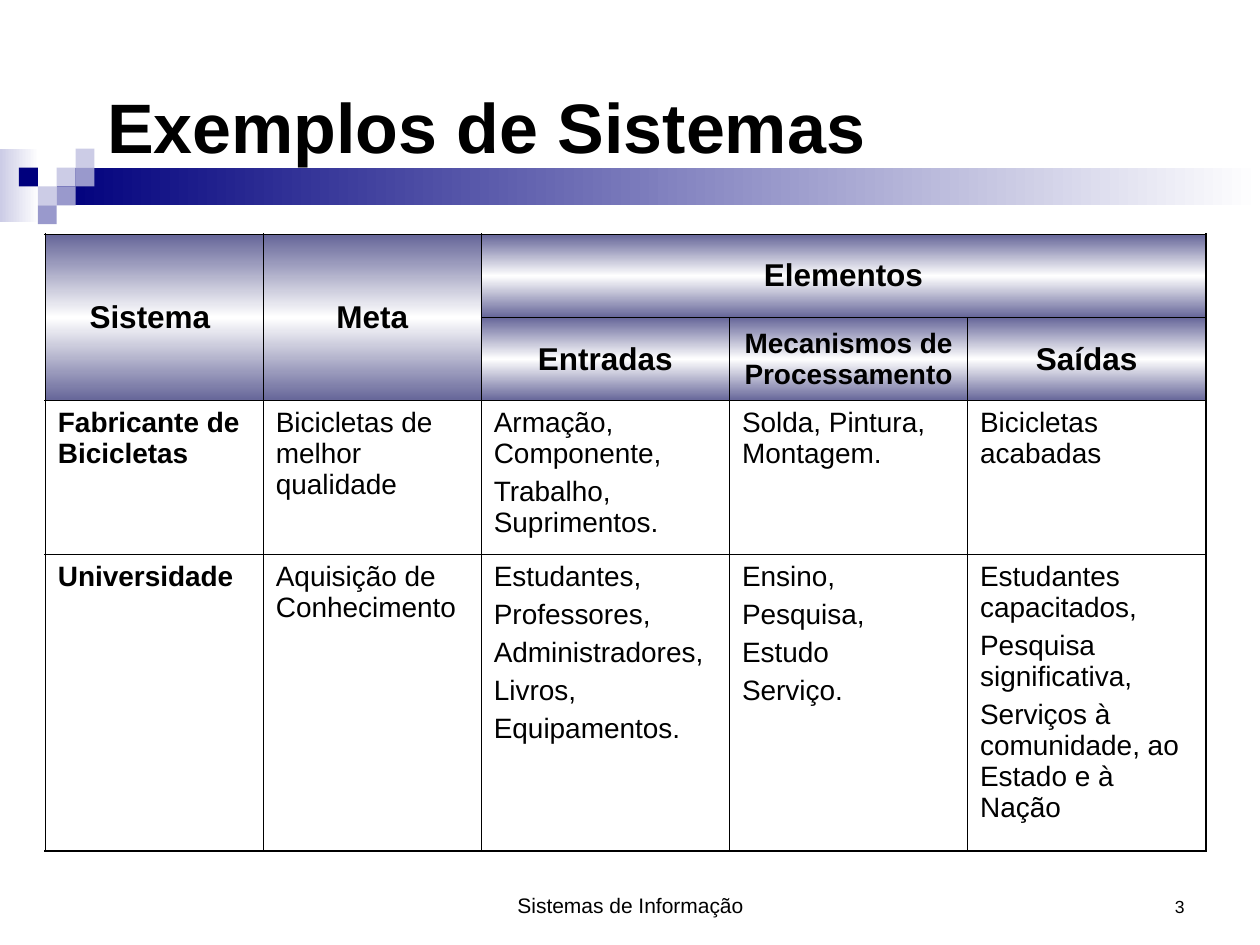
from lxml import etree
from pptx import Presentation
from pptx.dml.color import RGBColor
from pptx.enum.shapes import MSO_SHAPE
from pptx.enum.text import MSO_ANCHOR, MSO_AUTO_SIZE, PP_ALIGN
from pptx.oxml.ns import qn
from pptx.util import Inches, Pt

RECT = MSO_SHAPE.RECTANGLE
LEFT, CENTER, RIGHT = PP_ALIGN.LEFT, PP_ALIGN.CENTER, PP_ALIGN.RIGHT
TOP, MIDDLE, BOTTOM = MSO_ANCHOR.TOP, MSO_ANCHOR.MIDDLE, MSO_ANCHOR.BOTTOM

FONT = "Arial"
COLORS = {"text": "000000", "white": "FFFFFF", "navy": "00007D",
          "mid": "9999CC", "pale": "CCCCE6", "header": "666699"}
THIN, THICK = 0.45, 1.08
PLAIN_TABLE_STYLE = "{2D5ABB26-0587-4C30-8999-92F81FD0307C}"

# (column, row, colour) on a grid of small squares
SQUARES = [(2, 1, "pale"), (3, 0, "pale"), (3, 1, "mid"), (1, 2, "pale"),
           (0, 1, "navy"), (2, 2, "mid"), (1, 3, "mid")]

COL_WIDTHS = [1.73, 1.73, 1.97, 1.89, 1.89]
ROW_HEIGHTS = [0.66, 0.66, 1.22, 2.35]
# (row, column, row span, column span, text, size)
HEADERS = [
    (0, 0, 2, 1, "Sistema ", 18),
    (0, 1, 2, 1, "Meta", 18),
    (0, 2, 1, 3, "Elementos", 18),
    (1, 2, 1, 1, "Entradas", 18),
    (1, 3, 1, 1, "Mecanismos de Processamento", 16),
    (1, 4, 1, 1, "Saídas", 18),
]
BODY = [
    [["Fabricante de Bicicletas"],
     ["Bicicletas de melhor qualidade"],
     ["Armação, Componente,", "Trabalho, Suprimentos."],
     ["Solda, Pintura, Montagem."],
     ["Bicicletas acabadas"]],
    [["Universidade"],
     ["Aquisição de Conhecimento"],
     ["Estudantes,", "Professores,", "Administradores,", "Livros,",
      "Equipamentos."],
     ["Ensino,", "Pesquisa,", "Estudo", "Serviço."],
     ["Estudantes capacitados,", "Pesquisa significativa,",
      "Serviços à comunidade, ao Estado e à Nação"]],
]


def rgb(name):
    return RGBColor.from_string(COLORS[name])


def write(tf, lines, size, bold=False, align=LEFT):
    tf.word_wrap = True
    for i, line in enumerate(lines):
        p = tf.add_paragraph() if i else tf.paragraphs[0]
        p.alignment = align
        p.space_before = Pt(4 if i else 0)
        r = p.add_run()
        r.text = line
        r.font.name = FONT
        r.font.size = Pt(size)
        r.font.bold = bold
        r.font.color.rgb = rgb("text")


def set_gradient(fill, parent, names, angle):
    """Spread the named colours evenly along a linear gradient."""
    fill.gradient()
    fill.gradient_angle = angle
    stops = parent.find(".//" + qn("a:gsLst"))
    for stop in list(stops):
        stops.remove(stop)
    for i, name in enumerate(names):
        pos = str(100000 * i // (len(names) - 1))
        stop = etree.SubElement(stops, qn("a:gs"), pos=pos)
        etree.SubElement(stop, qn("a:srgbClr"), val=COLORS[name])


def add_rect(s, x, y, w, h, *names):
    """Add a borderless rectangle, with a gradient if given two colours."""
    sp = s.shapes.add_shape(RECT, Inches(x), Inches(y), Inches(w), Inches(h))
    sp.shadow.inherit = False
    sp.line.fill.background()
    if len(names) > 1:
        set_gradient(sp.fill, sp._element.spPr, names, 0)
    else:
        sp.fill.solid()
        sp.fill.fore_color.rgb = rgb(names[0])


def add_band(s, x, y, w):
    unit = 0.15
    add_rect(s, x, y, 0.31, 0.58, "pale", "white")
    add_rect(s, x + 3 * unit, y + unit, w - 3 * unit, 2 * unit, "navy", "white")
    for col, row, name in SQUARES:
        add_rect(s, x + (col + 1) * unit, y + row * unit, unit, unit, name)


def add_title(s, x, y, w, h):
    title = s.shapes.title
    title.left, title.top = Inches(x), Inches(y)
    title.width, title.height = Inches(w), Inches(h)
    tf = title.text_frame
    tf.auto_size = MSO_AUTO_SIZE.NONE
    tf.vertical_anchor = BOTTOM
    write(tf, ["Exemplos de Sistemas"], 40, bold=True)
    s.shapes._spTree.append(title._element)  # in front of the band


def add_footer(s, x, y, w, h, text, size, align):
    sp = s.shapes.add_textbox(Inches(x), Inches(y), Inches(w), Inches(h))
    sp.text_frame.vertical_anchor = BOTTOM
    write(sp.text_frame, [text], size, align=align)


def set_borders(cell, row, col, row_span=1, col_span=1):
    """Draw thick lines on the table's outer edges and thin ones inside."""
    outer = {"a:lnL": col == 0,
             "a:lnR": col + col_span == len(COL_WIDTHS),
             "a:lnT": row == 0,
             "a:lnB": row + row_span == len(ROW_HEIGHTS)}
    tc_pr = cell._tc.get_or_add_tcPr()
    for tag, is_outer in outer.items():
        width = Pt(THICK if is_outer else THIN)
        ln = etree.SubElement(tc_pr, qn(tag), w=str(width))
        solid = etree.SubElement(ln, qn("a:solidFill"))
        etree.SubElement(solid, qn("a:srgbClr"), val=COLORS["text"])


def add_systems_table(s, x, y):
    frame = s.shapes.add_table(
        len(ROW_HEIGHTS), len(COL_WIDTHS), Inches(x), Inches(y),
        Inches(sum(COL_WIDTHS)), Inches(sum(ROW_HEIGHTS)))
    table = frame.table
    table.first_row = table.horz_banding = False
    frame._element.find(".//" + qn("a:tableStyleId")).text = PLAIN_TABLE_STYLE
    for column, width in zip(table.columns, COL_WIDTHS):
        column.width = Inches(width)
    for row, height in zip(table.rows, ROW_HEIGHTS):
        row.height = Inches(height)

    for row, col, row_span, col_span, text, size in HEADERS:
        cell = table.cell(row, col)
        if row_span * col_span > 1:
            cell.merge(table.cell(row + row_span - 1, col + col_span - 1))
        set_borders(cell, row, col, row_span, col_span)
        set_gradient(cell.fill, cell._tc.tcPr, ["header", "white", "header"], 90)
        cell.vertical_anchor = MIDDLE
        write(cell.text_frame, [text], size, bold=True, align=CENTER)

    for row, entries in enumerate(BODY, start=2):
        for col, lines in enumerate(entries):
            cell = table.cell(row, col)
            set_borders(cell, row, col)
            cell.fill.background()
            cell.vertical_anchor = TOP
            write(cell.text_frame, lines, 16, bold=col == 0)


def main():
    prs = Presentation()
    prs.slide_width, prs.slide_height = Inches(10), Inches(7.5)
    s = prs.slides.add_slide(prs.slide_layouts[5])
    add_band(s, 0, 1.18, 10)
    add_footer(s, 3.42, 6.83, 3.17, 0.5, "Sistemas de Informação", 12, CENTER)
    add_footer(s, 7.17, 6.83, 2.33, 0.5, "3", 10, RIGHT)
    add_systems_table(s, 0.36, 1.86)
    add_title(s, 0.75, 0.13, 8.5, 1.25)
    prs.save("out.pptx")


if __name__ == "__main__":
    main()
